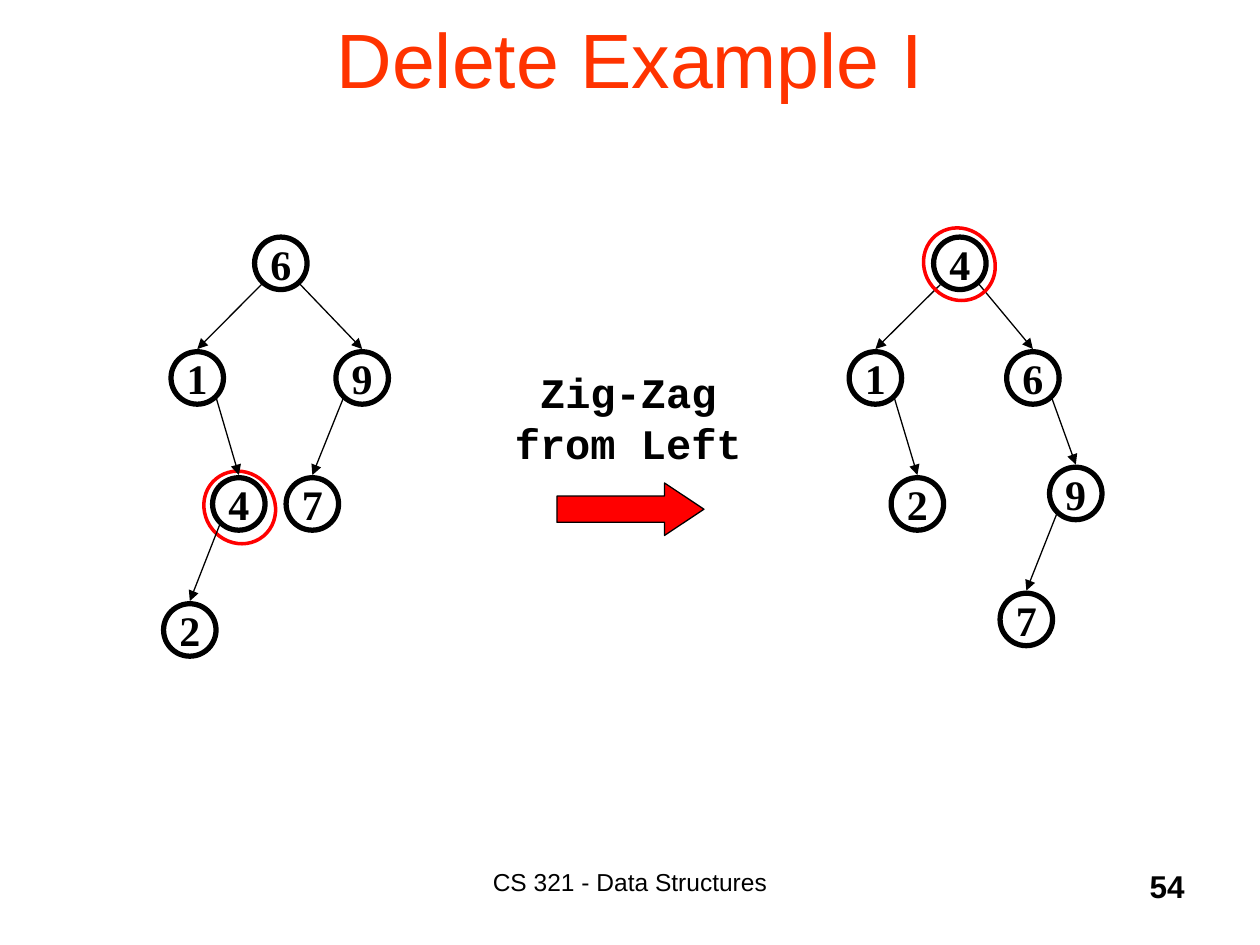
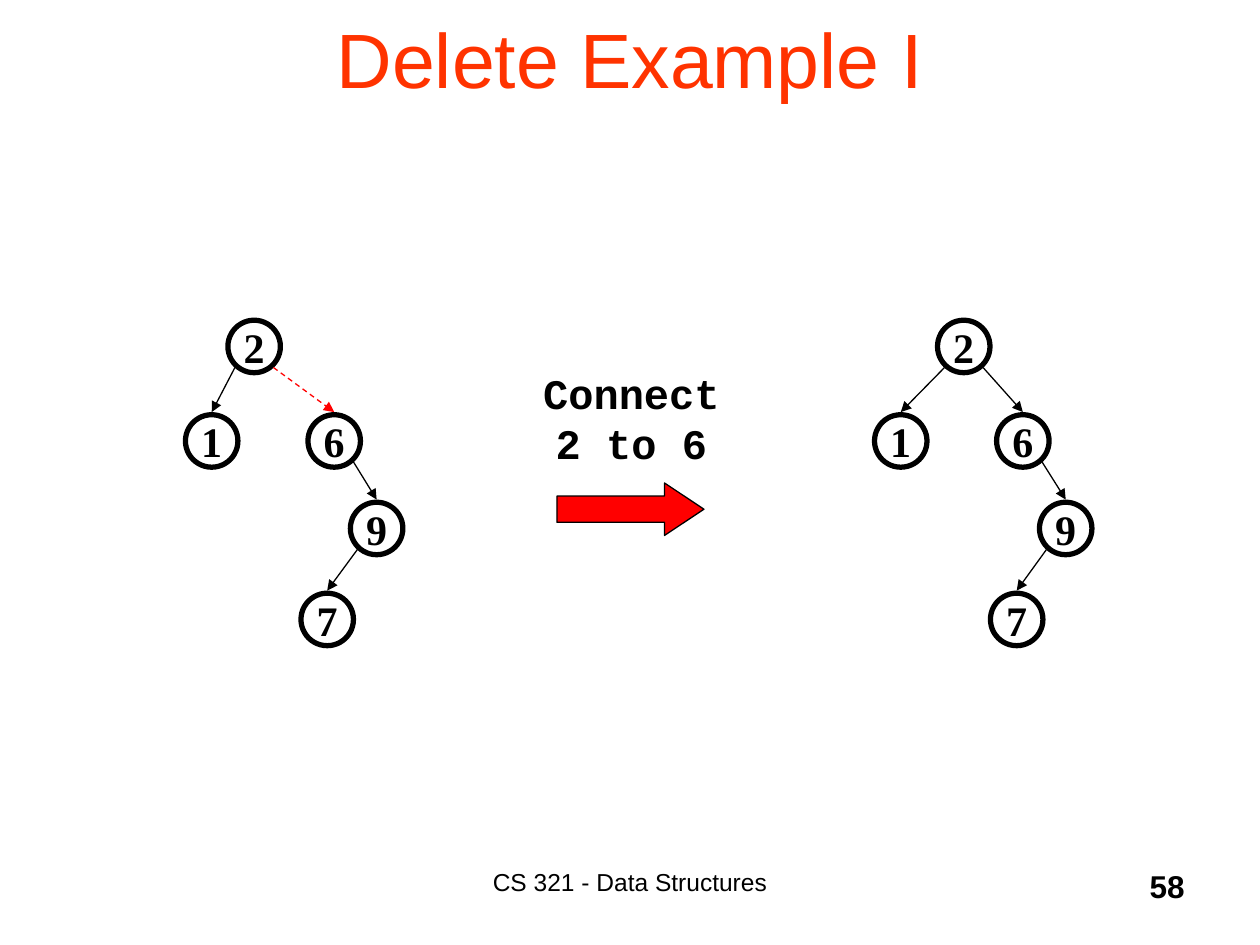
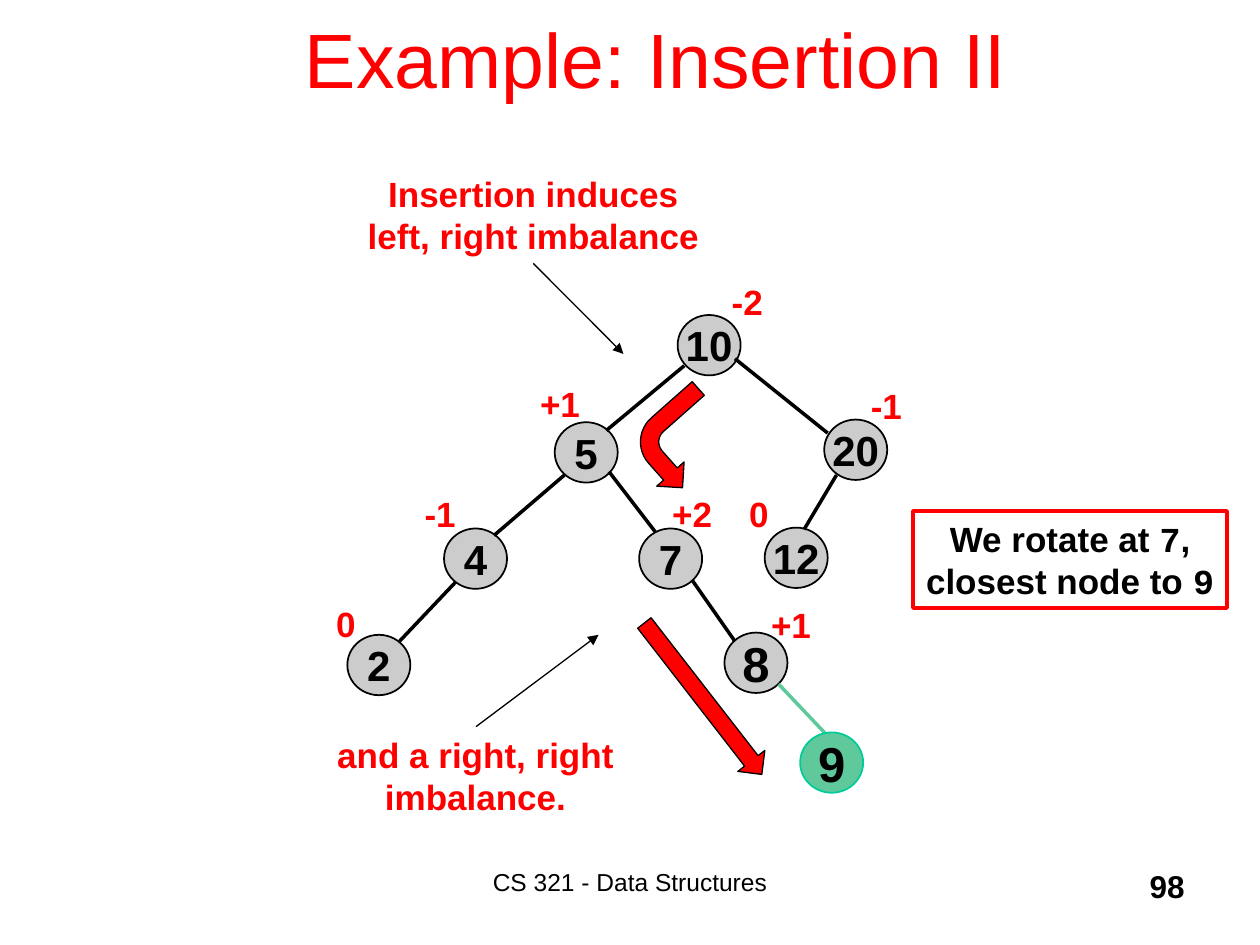
from dataclasses import dataclass

from lxml import etree
from pptx import Presentation
from pptx import util as u
from pptx.dml.color import RGBColor
from pptx.enum import dml, shapes, text
from pptx.oxml.ns import qn

Pt = u.Pt
ELLIPSE = shapes.MSO_SHAPE.OVAL
LEFT, CENTER, RIGHT = text.PP_ALIGN.LEFT, text.PP_ALIGN.CENTER, text.PP_ALIGN.RIGHT
MIDDLE = text.MSO_ANCHOR.MIDDLE


@dataclass(frozen=True)
class Theme:
    """Colours, type styles and line widths shared by the slides."""
    black: str = "000000"
    red: str = "FF0000"
    orange: str = "FF3300"
    grey: str = "CCCCCC"
    green: str = "60C99C"
    teal: str = "00CC99"
    sans: str = "Arial"
    mono: str = "Courier New"
    serif: str = "Times New Roman"
    thin: float = 0.75
    outline: float = 1
    thick: float = 2
    heavy: float = 3

    def style(self, size, name=None, color=None, bold=True):
        return {"size": Pt(size), "name": name or self.sans, "bold": bold,
                "color": color or self.black}


THEME = Theme()
TITLE = THEME.style(44, color=THEME.orange, bold=False)
FOOTER = THEME.style(14, bold=False)
PAGE = THEME.style(18)
STEP = THEME.style(24, THEME.mono)
SPLAY_KEY = THEME.style(24, THEME.serif)
AVL_KEY = THEME.style(24)
BIG_KEY = THEME.style(28)
NOTE = THEME.style(20, color=THEME.red)
BOXED = THEME.style(20)
BOXED_KEY = THEME.style(20, THEME.mono)


# Formatting helpers
def rgb(color):
    return RGBColor.from_string(color)


def set_values(target, values):
    for name, value in values.items():
        setattr(target, name, value)


def write(shape, runs, align=CENTER, **frame_values):
    """Write (text, style) runs as the only paragraph of a shape."""
    frame = shape.text_frame
    set_values(frame, {"word_wrap": True, "auto_size": text.MSO_AUTO_SIZE.NONE, **frame_values})
    paragraph = frame.paragraphs[0]
    paragraph.alignment = align
    for content, style in runs:
        run = paragraph.add_run()
        run.text = content
        set_values(run.font, {key: value for key, value in style.items() if key != "color"})
        run.font.color.rgb = rgb(style["color"])


def place(shape, box):
    set_values(shape, dict(zip(("left", "top", "width", "height"), map(Pt, box))))


def stroke(line, color, width):
    line.color.rgb = rgb(color)
    line.width = Pt(width)


# Element builders
def add_figure(container, kind, box, line, fill=None, rotation=0, adjustments=(), flip=False):
    shape = container.add_shape(kind, *map(Pt, box))
    shape.shadow.inherit = False
    shape.rotation = rotation
    for index, value in enumerate(adjustments):
        shape.adjustments[index] = value
    if fill:
        shape.fill.solid()
        shape.fill.fore_color.rgb = rgb(fill)
    else:
        shape.fill.background()
    stroke(shape.line, *line)
    if flip:
        shape._element.spPr.find(qn("a:xfrm")).set("flipH", "1")
    return shape


def add_text(container, box, content, style, align=CENTER):
    write(container.add_textbox(*map(Pt, box)), [(content, style)], align)


def add_line(container, start, end, color=THEME.black, width=THEME.thin, arrow=True, dashed=False):
    connector = container.add_connector(shapes.MSO_CONNECTOR.STRAIGHT, *map(Pt, (*start, *end)))
    stroke(connector.line, color, width)
    if dashed:
        connector.line.dash_style = dml.MSO_LINE.DASH
    if arrow:
        outline = connector.line._get_or_add_ln()
        etree.SubElement(outline, qn("a:tailEnd"), type="triangle")
    etree.SubElement(connector._element.spPr, qn("a:effectLst"))


def add_node(container, key, center, size, style, line, fill=None):
    x, y = center
    width, height = size
    node = add_figure(container, ELLIPSE, (x - width / 2, y - height / 2, width, height), line, fill)
    write(node, [(key, style)], word_wrap=False, vertical_anchor=MIDDLE,
          margin_left=0, margin_right=0, margin_top=0, margin_bottom=0)


def add_splay_tree(slide, nodes, edges, missing_edge=None):
    """Draw round nodes; each edge runs from a parent's lower side to a child's top."""
    group = slide.shapes.add_group_shape().shapes
    for key, center in nodes.items():
        add_node(group, key, center, (30, 30), SPLAY_KEY, (THEME.black, THEME.heavy))
    for edge in edges:
        (parent_x, parent_y), (child_x, child_y) = (nodes[key] for key in edge)
        side = 11 if child_x > parent_x else -11
        dashed = edge == missing_edge
        add_line(group, (parent_x + side, parent_y + 12), (child_x, child_y - 16.5),
                 THEME.red if dashed else THEME.black, dashed=dashed)


def add_ring(slide, center):
    x, y = center
    add_figure(slide.shapes, ELLIPSE, (x - 20, y - 21.25, 40, 42.5),
               (THEME.red, THEME.thick), rotation=320.5)


def add_step(slide, label, box):
    """Label of the operation above the block arrow between two trees."""
    add_text(slide.shapes, box, label, STEP)
    add_figure(slide.shapes, shapes.MSO_SHAPE.RIGHT_ARROW, (318.25, 276, 84, 30),
               (THEME.black, THEME.thin), THEME.red, adjustments=(0.5, 0.75))


def add_slide(presentation, title, number, title_width=612, color=THEME.orange):
    slide = presentation.slides.add_slide(presentation.slide_layouts[5])
    place(slide.shapes.title, (54, -12, title_width, 90))
    write(slide.shapes.title, [(title, {**TITLE, "color": color})], vertical_anchor=MIDDLE)
    add_text(slide.shapes, (222, 492, 276, 36), "CS 321 - Data Structures", FOOTER)
    add_text(slide.shapes, (534, 492, 150, 36), number, PAGE, RIGHT)
    return slide


# Slides
def zig_zag_slide(presentation):
    slide = add_slide(presentation, "Delete Example I", "54")
    add_step(slide, "Zig-Zag from Left", (285.25, 206, 147.5, 65.5))
    add_ring(slide, (137, 290))
    add_splay_tree(slide, {"6": (160.5, 150.5), "1": (112.75, 216), "9": (207, 216),
                           "4": (136.5, 288), "7": (178.5, 288), "2": (108.5, 360)},
                   ("61", "69", "14", "97", "42"))
    add_splay_tree(slide, {"4": (548.5, 150.5), "1": (500.25, 216), "6": (590.25, 216),
                           "2": (524.25, 288), "9": (614.75, 282), "7": (586.5, 354)},
                   ("41", "46", "12", "69", "97"))
    add_ring(slide, (548.25, 151))


def connect_slide(presentation):
    slide = add_slide(presentation, "Delete Example I", "58")
    add_step(slide, "Connect 2 to 6", (293.75, 206.5, 134, 65.5))
    levels = {"2": 198, "1": 252, "6": 252, "9": 302, "7": 354}
    edges = ("21", "26", "69", "97")
    before = (145.25, 121, 191, 215.25, 187)
    after = (550.75, 514.75, 584.5, 609, 581)
    for columns, missing_edge in ((before, "26"), (after, None)):
        nodes = {key: (x, y) for x, (key, y) in zip(columns, levels.items())}
        add_splay_tree(slide, nodes, edges, missing_edge)


def insertion_slide(presentation):
    slide = add_slide(presentation, "Example: Insertion II", "98", 642, THEME.red)
    node_size = (36, 34.5)

    # Balanced tree with its balance factors
    tree = slide.shapes.add_group_shape().shapes
    nodes = {"10": (405.25, 197.25), "20": (489, 257), "5": (335, 258.5), "12": (455, 318.75),
             "4": (271.75, 319.25), "7": (383.25, 319.25), "8": (432, 378.75), "2": (216.5, 380)}
    for key, center in nodes.items():
        add_node(tree, key, center, node_size, BIG_KEY if key == "8" else AVL_KEY,
                 (THEME.black, THEME.outline), THEME.grey)
    edges = (((391, 209), (346.5, 246)), ((322.5, 271.5), (282.25, 306)),
             ((260.5, 332.5), (228.25, 366.5)), ((478, 271.5), (459.5, 302.5)),
             ((420, 205), (473, 247.5)), ((395.5, 331.5), (420, 366.5)),
             ((348, 269.5), (374.5, 304)))
    for start, end in edges:
        add_line(tree, start, end, width=THEME.thick, arrow=False)
    balances = (("-2", 411, 156.5), ("-1", 490.5, 216), ("+1", 301.5, 215.25),
                ("-1", 235.5, 278), ("+2", 377, 278), ("0", 421, 278),
                ("+1", 433.5, 341.25), ("0", 185, 340.5))
    for balance, left, top in balances:
        add_text(tree, (left, top, 40, 31.5), balance, NOTE, LEFT)

    # Inserted node
    inserted = slide.shapes.add_group_shape().shapes
    add_line(inserted, (445, 391), (471.5, 419), THEME.green, THEME.thick, arrow=False)
    add_node(inserted, "9", (475.25, 435.75), node_size, BIG_KEY,
             (THEME.teal, THEME.outline), THEME.green)

    # Captions with pointers
    add_text(slide.shapes, (198.5, 95, 212.5, 55.5), "Insertion induces left, right imbalance", NOTE)
    add_line(slide.shapes, (304.75, 150.5), (356.25, 202.25))
    add_text(slide.shapes, (179.25, 415.5, 185, 55.5), "and a right, right imbalance.", NOTE)
    add_line(slide.shapes, (272, 415.25), (342, 362.75))
    conclusion = add_figure(slide.shapes, shapes.MSO_SHAPE.RECTANGLE, (521.75, 292, 179.5, 55.5),
                            (THEME.red, THEME.thick))
    write(conclusion, [("We rotate at ", BOXED), ("7", BOXED_KEY),
                       (", closest node to ", BOXED), ("9", BOXED_KEY)],
          vertical_anchor=text.MSO_ANCHOR.TOP, margin_left=Pt(5), margin_right=Pt(5))

    # Imbalance directions
    arrow_line = (THEME.black, THEME.thin)
    add_figure(slide.shapes, shapes.MSO_SHAPE.BENT_ARROW, (368, 224.5, 41.75, 54.75),
               arrow_line, THEME.red, rotation=228.5, flip=True)
    add_figure(slide.shapes, shapes.MSO_SHAPE.RIGHT_ARROW, (347, 389.5, 109.5, 19.5),
               arrow_line, THEME.red, rotation=52.2)


def main():
    presentation = Presentation()
    presentation.slide_width, presentation.slide_height = Pt(720), Pt(540)
    zig_zag_slide(presentation)
    connect_slide(presentation)
    insertion_slide(presentation)
    presentation.save("out.pptx")


if __name__ == "__main__":
    main()
